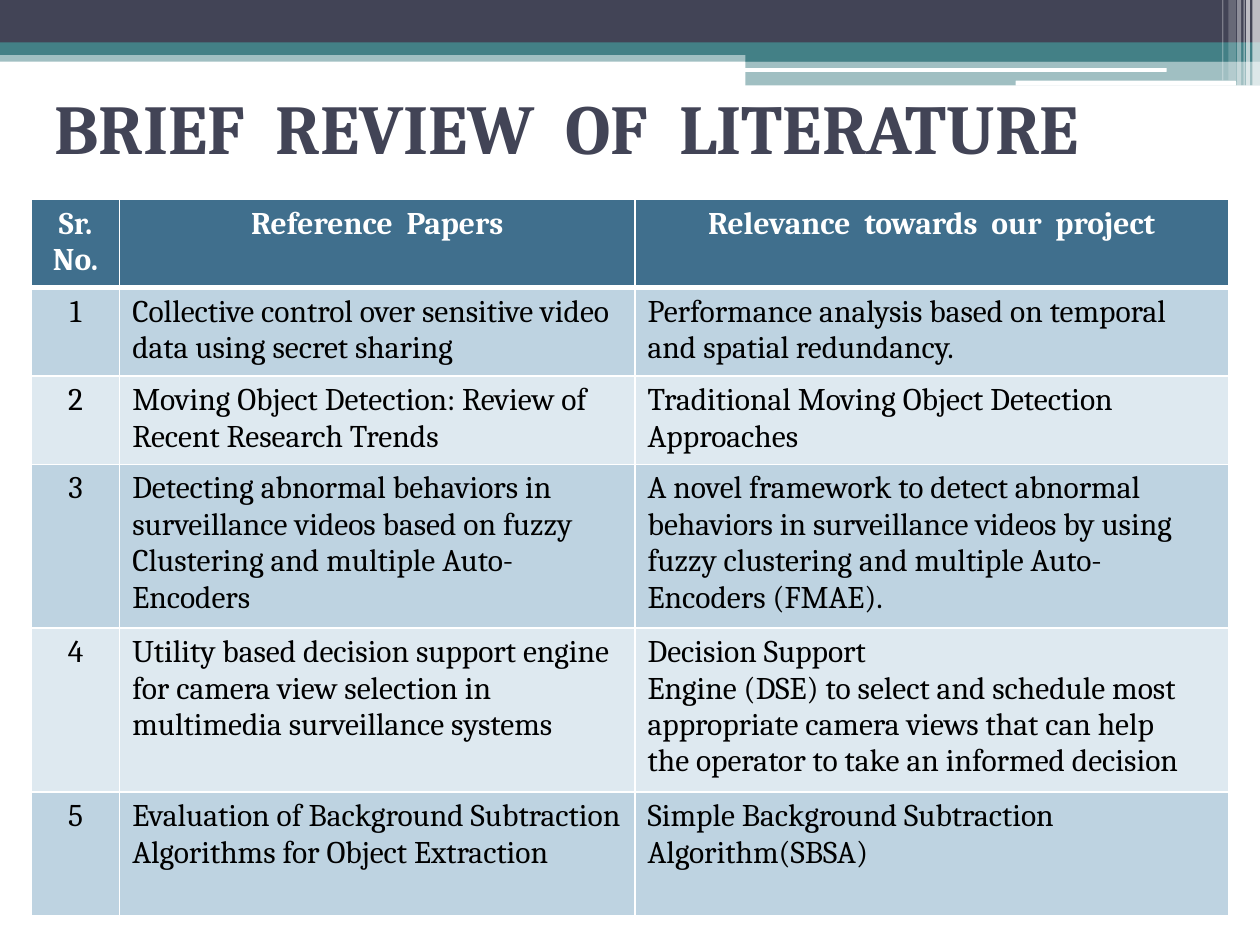
from lxml import etree
from pptx import Presentation
from pptx.dml.color import RGBColor
from pptx.enum import shapes, text
from pptx.oxml import ns
from pptx.util import Pt

NAVY = RGBColor(0x42, 0x44, 0x56)
TEAL = RGBColor(0x43, 0x80, 0x86)
WHITE = RGBColor(0xFF, 0xFF, 0xFF)
BLACK = RGBColor(0, 0, 0)
HEAD = RGBColor(0x40, 0x6F, 0x8D)
BANDS = (RGBColor(0xBE, 0xD3, 0xE1), RGBColor(0xDE, 0xE9, 0xF0))
FONT = "Cambria"
RECT = shapes.MSO_SHAPE.RECTANGLE
ROUND = shapes.MSO_SHAPE.ROUNDED_RECTANGLE

# Left, top, width, height, colour, opacity in percent
BARS = [
    (0, 28.8, 720, 6.5, TEAL, 50),
    (0, 0, 720, 24.5, NAVY, 100),
    (0, 24.2, 720, 7.2, TEAL, 100),
    (426, 28.1, 294, 7.2, TEAL, 100),
    (426, 34.6, 294, 14.2, TEAL, 50),
]
PILLS = [
    (425.5, 38.9, 241.2, 2.2, WHITE, 100),
    (580.3, 46.1, 126, 2.9, WHITE, 100),
]
# Left, width, height, opacity in percent
STRIPES = [
    (715.7, 4.3, 49, 65),
    (712.1, 2.2, 49, 65),
    (710.6, 0.7, 49, 60),
    (707, 2.2, 49, 40),
    (702, 4.3, 46, 20),
    (698.4, 0.7, 46, 30),
]

COLS = (50.4, 294.5, 339.1)
ROWS = (49.7, 49.7, 49.7, 92.2, 92.2, 71)
HEADS = ("Sr. No.", "Reference  Papers", "Relevance  towards  our  project")
# Each line of a cell is one paragraph
PAPERS = [
    ("Collective control over sensitive video data using secret sharing",
     "Performance analysis based on temporal and spatial redundancy."),
    ("Moving Object Detection: Review of Recent Research Trends",
     "Traditional Moving Object Detection Approaches"),
    ("Detecting abnormal behaviors in surveillance videos based on fuzzy\n"
     "Clustering and multiple Auto-Encoders",
     "A novel framework to detect abnormal behaviors in surveillance videos "
     "by using fuzzy clustering and multiple Auto-Encoders (FMAE)."),
    ("Utility based decision support engine for camera view selection in "
     "multimedia surveillance systems",
     "Decision Support\n"
     "Engine (DSE) to select and schedule most appropriate camera views "
     "that can help\n"
     "the operator to take an informed decision"),
    ("Evaluation of Background Subtraction Algorithms for Object Extraction",
     "Simple Background Subtraction Algorithm(SBSA)"),
]


def add_bar(slide, kind, left, top, width, height, color, alpha):
    bar = slide.shapes.add_shape(kind, Pt(left), Pt(top), Pt(width), Pt(height))
    bar.shadow.inherit = False
    bar.line.fill.background()
    bar.fill.solid()
    bar.fill.fore_color.rgb = color
    if alpha < 100:
        tint = bar.fill._xPr.find(".//" + ns.qn("a:srgbClr"))
        etree.SubElement(tint, ns.qn("a:alpha"), val=str(alpha * 1000))


def write(frame, words, size, color, bold, align=text.PP_ALIGN.LEFT):
    for i, line in enumerate(words.split("\n")):
        para = frame.paragraphs[0] if i == 0 else frame.add_paragraph()
        para.alignment = align
        run = para.add_run()
        run.text = line
        font = run.font
        font.name, font.size, font.bold = FONT, Pt(size), bold
        font.color.rgb = color


def add_title(slide, words):
    box = slide.shapes.add_textbox(Pt(24), Pt(30), Pt(648), Pt(84.5))
    frame = box.text_frame
    frame.word_wrap = True
    frame.vertical_anchor = text.MSO_ANCHOR.MIDDLE
    write(frame, words, 40, NAVY, True)


def add_edge(cell, side, width):
    props = cell._tc.get_or_add_tcPr()
    edge = etree.SubElement(props, ns.qn("a:ln" + side), w=str(Pt(width)))
    fill = etree.SubElement(edge, ns.qn("a:solidFill"))
    etree.SubElement(fill, ns.qn("a:srgbClr"), val=str(WHITE))


def fill_cell(cell, words, row, col):
    top = row == 0
    for side in "LRTB":
        thick = (top and side == "B") or (row == 1 and side == "T")
        add_edge(cell, side, 3 if thick else 1)
    cell.fill.solid()
    cell.fill.fore_color.rgb = HEAD if top else BANDS[(row - 1) % 2]
    mid = top or col == 0
    align = text.PP_ALIGN.CENTER if mid else text.PP_ALIGN.LEFT
    write(cell.text_frame, words, 18, WHITE if top else BLACK, top, align)


def add_grid(slide):
    data = [HEADS] + [(str(n), *pair) for n, pair in enumerate(PAPERS, 1)]
    frame = slide.shapes.add_table(len(ROWS), len(COLS), Pt(18), Pt(114),
                                   Pt(sum(COLS)), Pt(sum(ROWS)))
    grid = frame.table
    for col, width in zip(grid.columns, COLS):
        col.width = Pt(width)
    for r, (height, line) in enumerate(zip(ROWS, data)):
        grid.rows[r].height = Pt(height)
        for c, words in enumerate(line):
            fill_cell(grid.cell(r, c), words, r, c)


def main():
    deck = Presentation()
    deck.slide_width, deck.slide_height = Pt(720), Pt(540)
    slide = deck.slides.add_slide(deck.slide_layouts[6])

    # Header band
    for bar in BARS:
        add_bar(slide, RECT, *bar)
    for pill in PILLS:
        add_bar(slide, ROUND, *pill)
    for left, width, height, alpha in STRIPES:
        add_bar(slide, RECT, left, 0, width, height, WHITE, alpha)

    # Title and table
    add_title(slide, "BRIEF  REVIEW  OF  LITERATURE")
    add_grid(slide)
    deck.save("out.pptx")


main()
